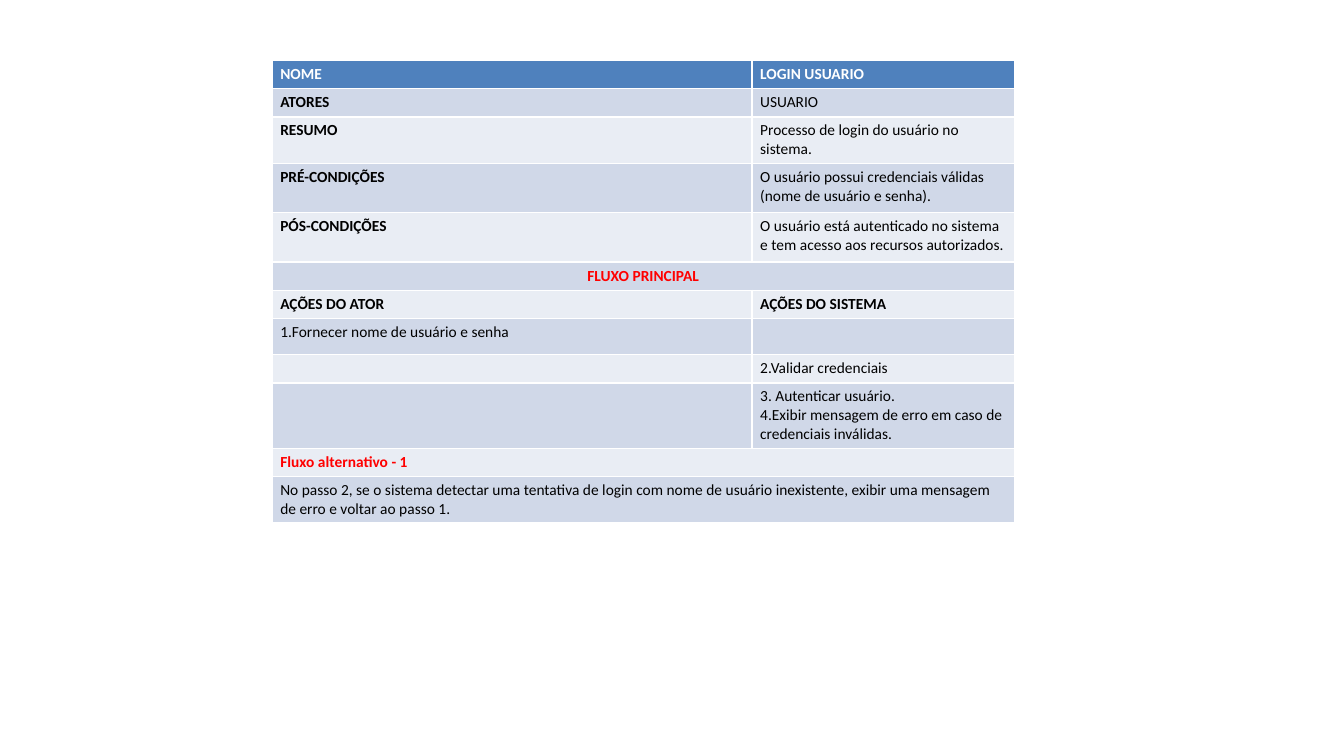
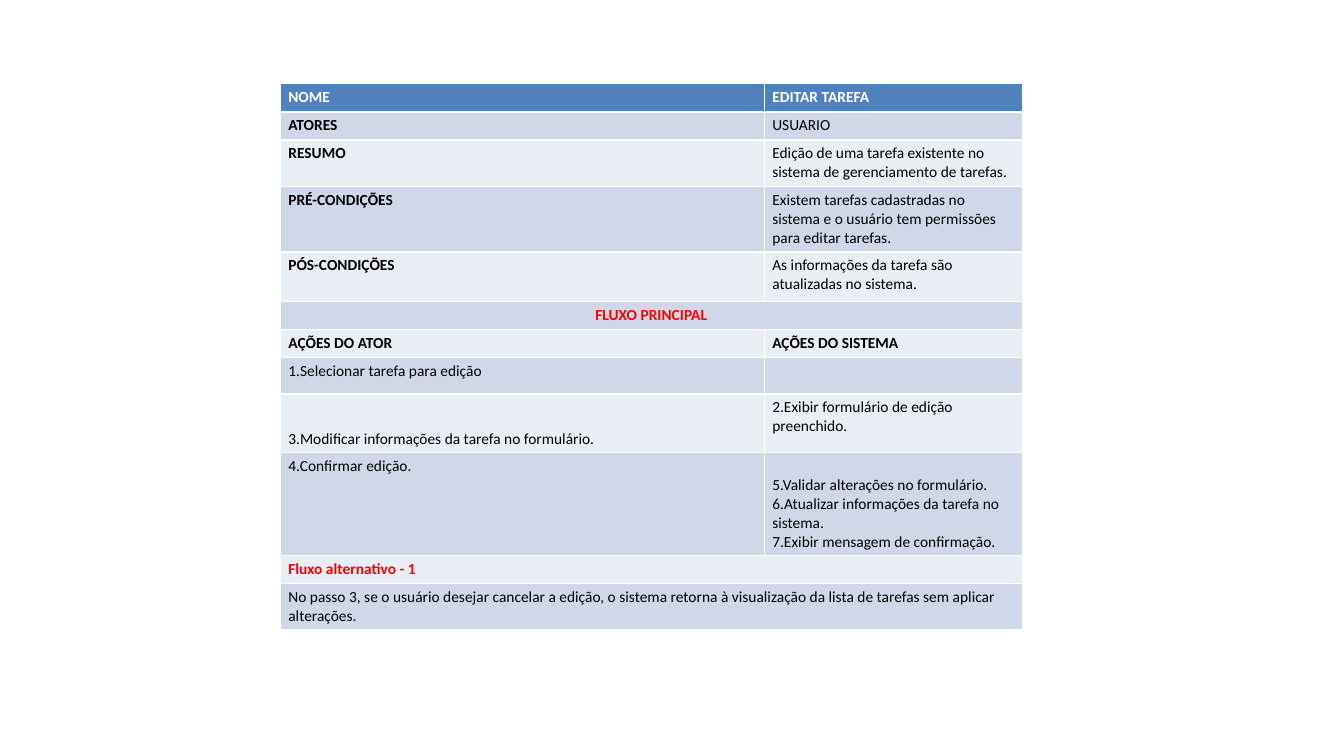
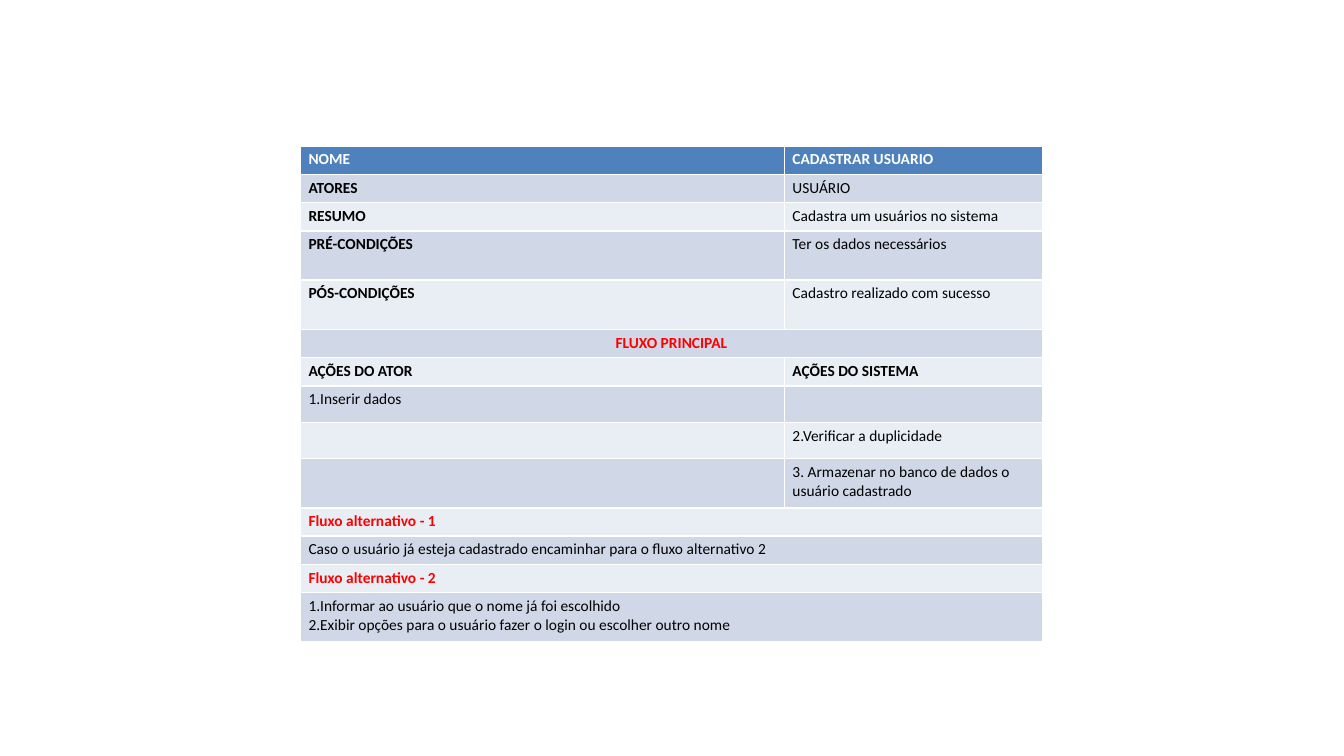
import pptx
import pptx.util
import pptx.dml.color
import pptx.enum.text
import lxml.etree

RGB = pptx.dml.color.RGBColor
ALIGN = pptx.enum.text.PP_ALIGN
ANCHOR = pptx.enum.text.MSO_ANCHOR

WHITE = RGB(0xFF, 0xFF, 0xFF)
BLACK = RGB(0x00, 0x00, 0x00)
RED = RGB(0xFF, 0x00, 0x00)
BLUE = RGB(0x4F, 0x81, 0xBD)
DARK = RGB(0xD0, 0xD8, 0xE8)
PALE = RGB(0xE9, 0xED, 0xF4)

TITLE = (WHITE, True, ALIGN.LEFT, ANCHOR.TOP)
LABEL = (BLACK, True, ALIGN.LEFT, ANCHOR.TOP)
PLAIN = (BLACK, False, ALIGN.LEFT, ANCHOR.TOP)
LOW = (BLACK, False, ALIGN.LEFT, ANCHOR.BOTTOM)
MAIN = (RED, True, ALIGN.CENTER, ANCHOR.MIDDLE)
OTHER = (RED, True, ALIGN.LEFT, ANCHOR.TOP)

HEAD = (TITLE, TITLE)
FIELD = (LABEL, PLAIN)
NAMES = (LABEL, LABEL)
STEP = (PLAIN, PLAIN)
LEFT_LOW = (LOW, PLAIN)
RIGHT_LOW = (PLAIN, LOW)
FLOW = (MAIN,)
BRANCH = (OTHER,)
NOTE = (PLAIN,)

LINE = 28


class Deck:
    """Use case tables in one style, measured at 100 px to the inch."""

    scale = 9144
    font = "Calibri"
    size = 11
    border = 1.16

    def __init__(self):
        self.prs = pptx.Presentation()
        self.prs.slide_width = self.px(1333)
        self.prs.slide_height = self.px(750)
        self.slide = None

    def px(self, count):
        return pptx.util.Emu(count * self.scale)

    def page(self):
        self.slide = self.prs.slides.add_slide(self.prs.slide_layouts[6])

    def table(self, left, top, widths, rows):
        high = sum(row[0] for row in rows)
        frame = self.slide.shapes.add_table(
            len(rows), len(widths), self.px(left), self.px(top),
            self.px(sum(widths)), self.px(high))
        grid = frame.table
        for col, width in zip(grid.columns, widths):
            col.width = self.px(width)
        for num, (height, kind, *texts) in enumerate(rows):
            grid.rows[num].height = self.px(height)
            fill = BLUE if num == 0 else DARK if num % 2 else PALE
            for col in range(len(widths)):
                self.cell(grid.cell(num, col), fill)
            if len(kind) == 1:
                grid.cell(num, 0).merge(grid.cell(num, len(widths) - 1))
            for col, (style, text) in enumerate(zip(kind, texts)):
                self.text(grid.cell(num, col), text, style)

    def cell(self, cell, fill):
        cell.fill.solid()
        cell.fill.fore_color.rgb = fill
        cell.margin_left = cell.margin_right = self.px(8)
        cell.margin_top = cell.margin_bottom = self.px(4)
        props = cell._tc.get_or_add_tcPr()
        qn = pptx.oxml.ns.qn
        for num, side in enumerate(("lnL", "lnR", "lnT", "lnB")):
            line = lxml.etree.Element(qn("a:" + side))
            line.set("w", str(int(pptx.util.Pt(self.border))))
            paint = lxml.etree.SubElement(line, qn("a:solidFill"))
            lxml.etree.SubElement(paint, qn("a:srgbClr")).set("val", str(WHITE))
            props.insert(num, line)
        para = cell.text_frame.paragraphs[0]._p
        end = lxml.etree.SubElement(para, qn("a:endParaRPr"))
        end.set("sz", str(self.size * 100))

    def text(self, cell, text, style):
        color, bold, align, anchor = style
        cell.vertical_anchor = anchor
        if not text:
            return
        frame = cell.text_frame
        for num, part in enumerate(text.split("\n")):
            para = frame.add_paragraph() if num else frame.paragraphs[0]
            para.alignment = align
            run = para.add_run()
            run.text = part
            run.font.name = self.font
            run.font.size = pptx.util.Pt(self.size)
            run.font.bold = bold
            run.font.color.rgb = color

    def case(self, left, top, widths, name, actor, facts, steps, notes):
        self.page()
        labels = ("RESUMO", "PRÉ-CONDIÇÕES", "PÓS-CONDIÇÕES")
        rows = [(LINE, HEAD, "NOME", name), (LINE, FIELD, "ATORES", actor)]
        for label, (height, fact) in zip(labels, facts):
            rows.append((height, FIELD, label, fact))
        rows.append((LINE, FLOW, "FLUXO PRINCIPAL"))
        rows.append((LINE, NAMES, "AÇÕES DO ATOR", "AÇÕES DO SISTEMA"))
        rows.extend(steps)
        for num, (height, note) in enumerate(notes, 1):
            rows.append((LINE, BRANCH, f"Fluxo alternativo - {num}"))
            rows.append((height, NOTE, note))
        self.table(left, top, widths, rows)


def main():
    deck = Deck()
    deck.case(
        270, 60, (476, 260), "LOGIN USUARIO", "USUARIO",
        [(46, "Processo de login do usuário no sistema."),
         (49, "O usuário possui credenciais válidas (nome de usuário e senha)."),
         (49, "O usuário está autenticado no sistema e tem acesso aos recursos "
              "autorizados.")],
        [(36, STEP, "1.Fornecer nome de usuário e senha", ""),
         (LINE, STEP, "", "2.Validar credenciais"),
         (65, STEP, "", "3. Autenticar usuário.\n4.Exibir mensagem de erro em "
                        "caso de credenciais inválidas.")],
        [(46, "No passo 2, se o sistema detectar uma tentativa de login com nome "
              "de usuário inexistente, exibir uma mensagem de erro e voltar ao "
              "passo 1.")])
    deck.case(
        278, 83, (480, 256), "EDITAR TAREFA", "USUARIO",
        [(46, "Edição de uma tarefa existente no sistema de gerenciamento de "
              "tarefas."),
         (65, "Existem tarefas cadastradas no sistema e o usuário tem permissões "
              "para editar tarefas."),
         (49, "As informações da tarefa são atualizadas no sistema.")],
        [(36, STEP, "1.Selecionar tarefa para edição", ""),
         (58, LEFT_LOW, "3.Modificar informações da tarefa no formulário.",
          "2.Exibir formulário de edição preenchido."),
         (102, RIGHT_LOW, "4.Confirmar edição.",
          "5.Validar alterações no formulário.\n6.Atualizar informações da "
          "tarefa no sistema.\n7.Exibir mensagem de confirmação.")],
        [(46, "No passo 3, se o usuário desejar cancelar a edição, o sistema "
              "retorna à visualização da lista de tarefas sem aplicar "
              "alterações.")])
    deck.case(
        298, 145, (480, 256), "CADASTRAR USUARIO", "USUÁRIO",
        [(LINE, "Cadastra um usuários no sistema"),
         (49, "Ter os dados necessários"),
         (49, "Cadastro realizado com sucesso")],
        [(36, STEP, "1.Inserir dados", ""),
         (36, STEP, "", "2.Verificar a duplicidade"),
         (49, STEP, "", "3. Armazenar no banco de dados o usuário cadastrado")],
        [(LINE, "Caso o usuário já esteja cadastrado encaminhar para o fluxo "
                "alternativo 2"),
         (49, "1.Informar ao usuário que o nome já foi escolhido\n2.Exibir "
              "opções para o usuário fazer o login ou escolher outro nome")])
    deck.prs.save("out.pptx")


if __name__ == "__main__":
    main()
